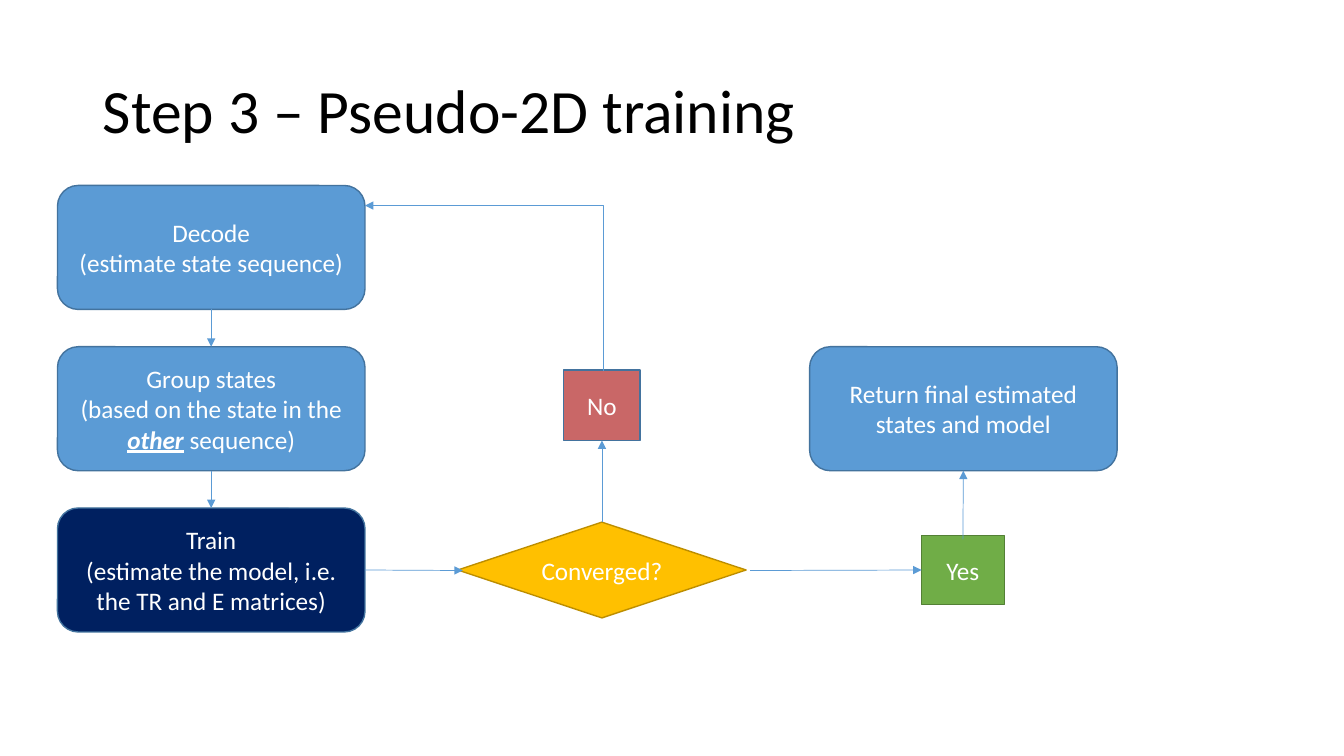
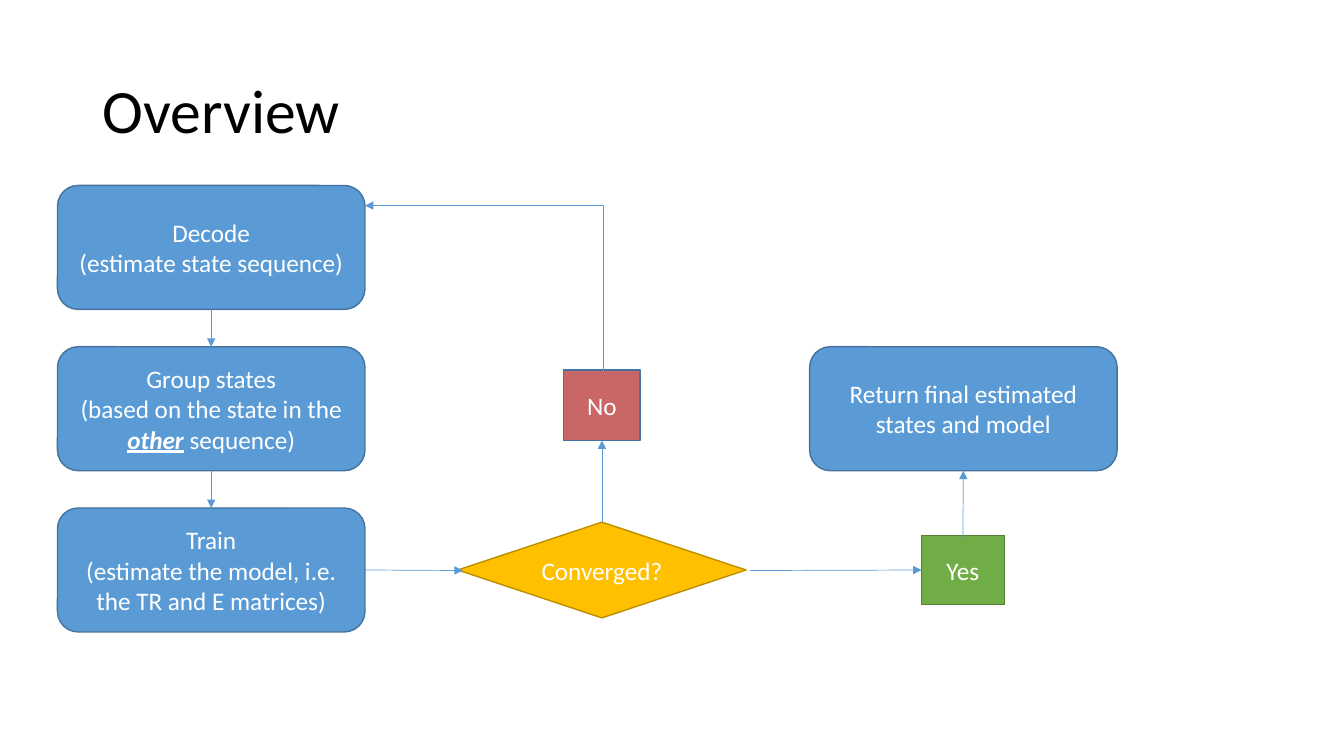
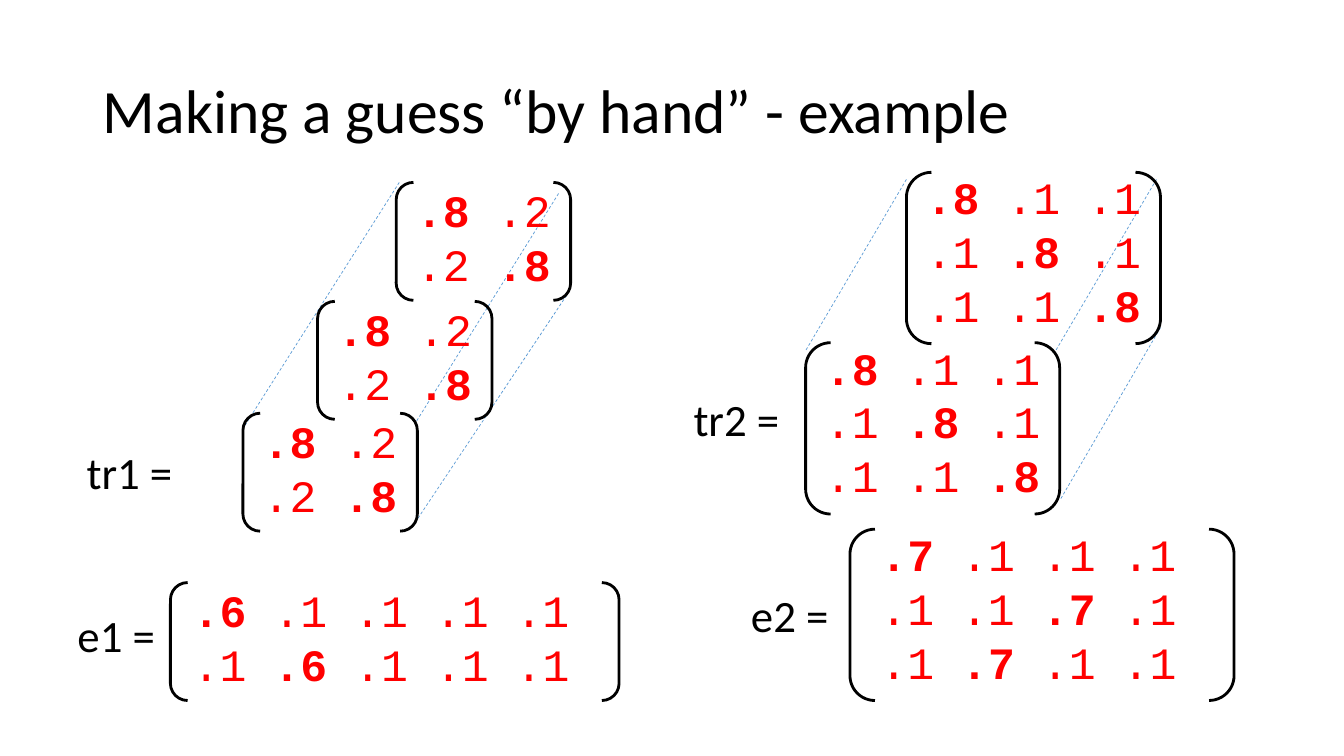
from dataclasses import dataclass
from itertools import groupby
from typing import Optional

from lxml import etree
from pptx import Presentation
from pptx.dml.color import RGBColor
from pptx.enum.dml import MSO_LINE
from pptx.enum.shapes import MSO_CONNECTOR, MSO_SHAPE
from pptx.enum.text import MSO_ANCHOR, MSO_AUTO_SIZE, PP_ALIGN
from pptx.oxml.ns import qn
from pptx.shapes.autoshape import Shape
from pptx.shapes.connector import Connector
from pptx.slide import Slide
from pptx.text.text import _Paragraph as Paragraph
from pptx.util import Inches, Pt

WHITE = RGBColor(0xFF, 0xFF, 0xFF)
BLACK = RGBColor(0x00, 0x00, 0x00)
RED = RGBColor(0xFF, 0x00, 0x00)
BLUE = RGBColor(0x5B, 0x9B, 0xD5)
BLUE_EDGE = RGBColor(0x43, 0x73, 0x9E)
NAVY = RGBColor(0x00, 0x20, 0x60)
GOLD = RGBColor(0xFF, 0xC0, 0x00)
GOLD_EDGE = RGBColor(0xBD, 0x8E, 0x00)
GREEN = RGBColor(0x70, 0xAD, 0x47)
GREEN_EDGE = RGBColor(0x53, 0x80, 0x35)
ROSE = RGBColor(0xC9, 0x67, 0x67)

BODY_FONT = "Calibri"
MATRIX_FONT = "Courier New"

ROUNDED = MSO_SHAPE.ROUNDED_RECTANGLE
RECTANGLE = MSO_SHAPE.RECTANGLE
DIAMOND = MSO_SHAPE.DIAMOND
BRACKETS = MSO_SHAPE.DOUBLE_BRACKET
STRAIGHT = MSO_CONNECTOR.STRAIGHT
ELBOW = MSO_CONNECTOR.ELBOW
DASH = MSO_LINE.DASH
CENTER = PP_ALIGN.CENTER
LEFT = PP_ALIGN.LEFT
MIDDLE = MSO_ANCHOR.MIDDLE
BOTTOM = MSO_ANCHOR.BOTTOM
NO_AUTOFIT = MSO_AUTO_SIZE.NONE
GROW_TO_TEXT = MSO_AUTO_SIZE.SHAPE_TO_FIT_TEXT

TOP_SIDE, LEFT_SIDE, BOTTOM_SIDE, RIGHT_SIDE = range(4)
TITLE_ONLY_LAYOUT = 5

Point = tuple[float, float]


@dataclass(frozen=True)
class TextRun:
    text: str
    emphasis: bool = False


@dataclass(frozen=True)
class Node:
    name: str
    left: float
    top: float
    width: float
    height: float
    paragraphs: tuple[tuple[TextRun, ...], ...]
    geometry: MSO_SHAPE = ROUNDED
    fill: RGBColor = BLUE
    edge: RGBColor = BLUE_EDGE


@dataclass(frozen=True)
class Joint:
    node: str
    side: int


@dataclass(frozen=True)
class Arrow:
    start: Point
    end: Point
    begin_joint: Optional[Joint] = None
    end_joint: Optional[Joint] = None


@dataclass(frozen=True)
class Matrix:
    rows: tuple[str, ...]
    width: float
    height: float
    positions: tuple[Point, ...]
    row_end: str = ""


@dataclass(frozen=True)
class Label:
    text: str
    left: float
    top: float


STEP_LEFT, STEP_WIDTH, STEP_HEIGHT = 0.57, 3.05, 1.23
STEP_TOP, STEP_PITCH = 1.84, 1.6
STEPS = (
    ("Decode", (TextRun("(estimate state sequence)"),)),
    ("Group states", (TextRun("(based on the state in the "),
                      TextRun("other", emphasis=True),
                      TextRun(" sequence)"))),
    ("Train", (TextRun("(estimate the model, i.e. the TR and E matrices)"),)),
)
NODES = tuple(
    Node(name, STEP_LEFT, STEP_TOP + index * STEP_PITCH, STEP_WIDTH, STEP_HEIGHT,
         ((TextRun(name),), detail))
    for index, (name, detail) in enumerate(STEPS)
) + (
    Node("Converged", 4.54, 5.18, 2.86, 0.95, ((TextRun("Converged?"),),),
         DIAMOND, GOLD, GOLD_EDGE),
    Node("Yes", 9.14, 5.31, 0.82, 0.69, ((TextRun("Yes"),),),
         RECTANGLE, GREEN, GREEN_EDGE),
    Node("No", 5.59, 3.67, 0.76, 0.7, ((TextRun("No"),),), RECTANGLE, ROSE),
    Node("Return", 8.03, STEP_TOP + STEP_PITCH, STEP_WIDTH, STEP_HEIGHT,
         ((TextRun("Return final estimated states and model"),),)),
)
ARROWS = (
    Arrow((2.09, 3.08), (2.09, 3.44),
          Joint("Decode", BOTTOM_SIDE), Joint("Group states", TOP_SIDE)),
    Arrow((2.09, 4.69), (2.09, 5.05),
          Joint("Group states", BOTTOM_SIDE), Joint("Train", TOP_SIDE)),
    Arrow((3.62, 5.66), (4.59, 5.66), Joint("Train", RIGHT_SIDE)),
    Arrow((7.44, 5.66), (9.14, 5.66), end_joint=Joint("Yes", LEFT_SIDE)),
    Arrow((5.97, 5.18), (5.97, 4.38),
          Joint("Converged", TOP_SIDE), Joint("No", BOTTOM_SIDE)),
    Arrow((9.55, 5.35), (9.55, 4.68), end_joint=Joint("Return", BOTTOM_SIDE)),
)

PEAK_VALUES = {".6", ".7", ".8"}
MATRICES = (
    Matrix((".8 .2", ".2 .8"), 1.73, 1.17, ((3.93, 1.81), (3.15, 2.99), (2.41, 4.1))),
    Matrix((".8 .1 .1", ".1 .8 .1", ".1 .1 .8"), 2.52, 1.7, ((8.99, 1.71), (7.99, 3.4))),
    Matrix((".6 .1 .1 .1 .1", ".1 .6 .1 .1 .1"), 4.45, 1.17, ((1.69, 5.78),), " "),
    Matrix((".7 .1 .1 .1", ".1 .1 .7 .1", ".1 .7 .1 .1"), 3.81, 1.7, ((8.43, 5.25),), " "),
)
LABELS = (
    Label("tr1 =", 0.76, 4.36),
    Label("tr2 =", 6.78, 3.84),
    Label("e1 =", 0.67, 5.98),
    Label("e2 =", 7.35, 5.78),
)
DEPTH_LINES = (
    ((3.96, 1.81), (2.43, 4.22)),
    ((5.54, 1.92), (4.13, 4.18)),
    ((5.62, 2.93), (4.14, 5.15)),
    ((8.99, 1.78), (7.99, 3.48)),
    ((11.47, 1.78), (10.47, 3.48)),
    ((11.51, 3.25), (10.52, 4.95)),
)


def add_run(paragraph: Paragraph, text: str, size: int, color: RGBColor,
            font_name: str = BODY_FONT, bold: bool = False, emphasis: bool = False) -> None:
    """Add one run; emphasis means bold, italic and underlined."""
    run = paragraph.add_run()
    run.text = text
    font = run.font
    font.name = font_name
    font.size = Pt(size)
    font.color.rgb = color
    font.bold = bold or emphasis
    font.italic = emphasis
    font.underline = emphasis


def add_centered_paragraph(shape: Shape, index: int) -> Paragraph:
    """Return the first paragraph of the shape, or a new one after it."""
    text_frame = shape.text_frame
    paragraph = text_frame.add_paragraph() if index else text_frame.paragraphs[0]
    paragraph.alignment = CENTER
    return paragraph


def add_titled_slide(presentation: Presentation, title: str) -> Slide:
    slide = presentation.slides.add_slide(presentation.slide_layouts[TITLE_ONLY_LAYOUT])
    shape = slide.shapes.title
    shape.left, shape.top = Inches(0.92), Inches(0.4)
    shape.width, shape.height = Inches(11.5), Inches(1.45)
    text_frame = shape.text_frame
    text_frame.word_wrap = True
    text_frame.auto_size = NO_AUTOFIT
    text_frame.vertical_anchor = MIDDLE
    paragraph = text_frame.paragraphs[0]
    paragraph.alignment = LEFT
    paragraph.line_spacing = 0.9
    add_run(paragraph, title, 44, BLACK)
    return slide


def add_thin_line(slide: Slide, start: Point, end: Point, kind: MSO_CONNECTOR = STRAIGHT,
                  arrowhead: bool = False) -> Connector:
    connector = slide.shapes.add_connector(
        kind, *(Inches(length) for length in (*start, *end)))
    connector.line.color.rgb = BLUE
    connector.line.width = Pt(0.5)
    properties = connector._element.spPr
    if arrowhead:
        etree.SubElement(properties.find(qn("a:ln")), qn("a:tailEnd"), type="triangle")
    etree.SubElement(properties, qn("a:effectLst"))
    return connector


def add_node(slide: Slide, node: Node, fill: RGBColor) -> Shape:
    shape = slide.shapes.add_shape(
        node.geometry, Inches(node.left), Inches(node.top),
        Inches(node.width), Inches(node.height))
    shape.shadow.inherit = False
    shape.fill.solid()
    shape.fill.fore_color.rgb = fill
    shape.line.color.rgb = node.edge
    shape.line.width = Pt(1)
    shape.text_frame.word_wrap = True
    shape.text_frame.vertical_anchor = MIDDLE
    for index, runs in enumerate(node.paragraphs):
        paragraph = add_centered_paragraph(shape, index)
        for run in runs:
            add_run(paragraph, run.text, 18, WHITE, emphasis=run.emphasis)
    return shape


def add_arrow(slide: Slide, arrow: Arrow, shapes: dict[str, Shape]) -> None:
    connector = add_thin_line(slide, arrow.start, arrow.end, arrowhead=True)
    if arrow.begin_joint:
        connector.begin_connect(shapes[arrow.begin_joint.node], arrow.begin_joint.side)
    if arrow.end_joint:
        connector.end_connect(shapes[arrow.end_joint.node], arrow.end_joint.side)


def add_return_arrow(slide: Slide) -> None:
    """Lead from the top of No up and then left to Decode, with a single bend."""
    connector = add_thin_line(slide, (3.98, 4.04), (5.62, 1.68), ELBOW, arrowhead=True)
    properties = connector._element.spPr
    properties.find(qn("a:prstGeom")).set("prst", "bentConnector2")
    properties.find(qn("a:xfrm")).set("rot", str(270 * 60000))


def add_flowchart(slide: Slide, highlighted: str = "") -> None:
    shapes = {
        node.name: add_node(slide, node, NAVY if node.name == highlighted else node.fill)
        for node in NODES
    }
    for arrow in ARROWS:
        add_arrow(slide, arrow, shapes)
    add_return_arrow(slide)


def add_matrix(slide: Slide, matrix: Matrix, position: Point) -> None:
    """Draw bracketed rows with the peak value of each row in bold."""
    left, top = position
    shape = slide.shapes.add_shape(
        BRACKETS, Inches(left), Inches(top), Inches(matrix.width), Inches(matrix.height))
    shape.adjustments[0] = 0.146
    shape.shadow.inherit = False
    shape.fill.background()
    shape.line.color.rgb = BLACK
    shape.line.width = Pt(2)
    shape.text_frame.word_wrap = True
    shape.text_frame.vertical_anchor = BOTTOM
    for index, row in enumerate(matrix.rows):
        paragraph = add_centered_paragraph(shape, index)
        cells = [f"{value} " for value in row.split()]
        cells[-1] = cells[-1].strip() + matrix.row_end
        for bold, group in groupby(cells, lambda cell: cell.strip() in PEAK_VALUES):
            add_run(paragraph, "".join(group), 32, RED, MATRIX_FONT, bold)


def add_label(slide: Slide, label: Label) -> None:
    box = slide.shapes.add_textbox(
        Inches(label.left), Inches(label.top), Inches(1.08), Inches(0.64))
    box.text_frame.word_wrap = True
    box.text_frame.auto_size = GROW_TO_TEXT
    add_run(box.text_frame.paragraphs[0], label.text, 32, BLACK)


def add_matrix_example(slide: Slide) -> None:
    for start, end in DEPTH_LINES:
        add_thin_line(slide, start, end).line.dash_style = DASH
    for matrix in MATRICES:
        for position in matrix.positions:
            add_matrix(slide, matrix, position)
    for label in LABELS:
        add_label(slide, label)


def main() -> None:
    presentation = Presentation()
    presentation.slide_width = Inches(13.33)
    presentation.slide_height = Inches(7.5)
    add_flowchart(add_titled_slide(presentation, "Step 3 – Pseudo-2D training"), "Train")
    add_flowchart(add_titled_slide(presentation, "Overview"))
    add_matrix_example(add_titled_slide(presentation, "Making a guess “by hand” - example"))
    presentation.save("out.pptx")


if __name__ == "__main__":
    main()
